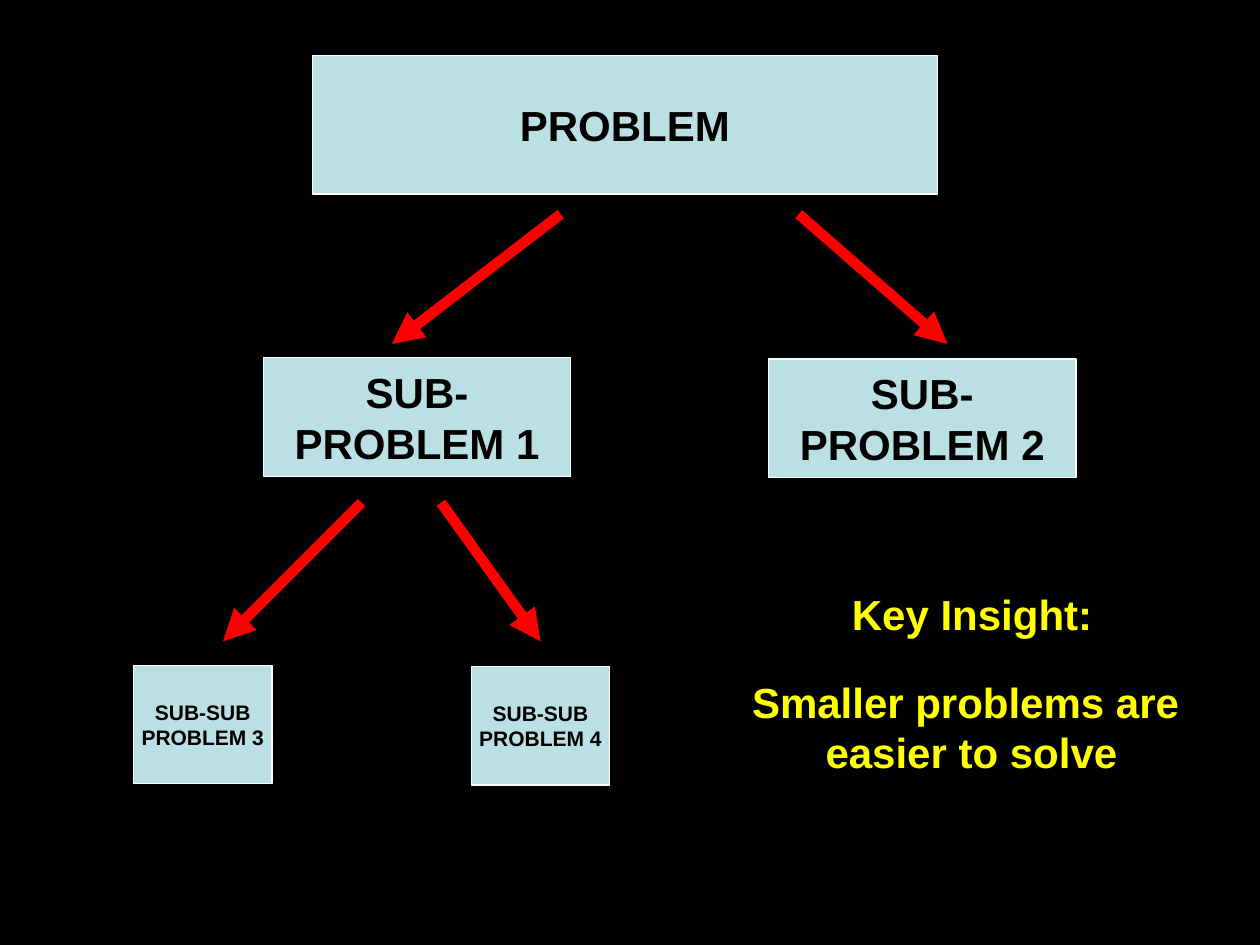
from dataclasses import dataclass

from lxml.etree import SubElement
from pptx import Presentation
from pptx.dml.color import RGBColor
from pptx.enum.shapes import MSO_CONNECTOR, MSO_SHAPE
from pptx.enum.text import MSO_ANCHOR, MSO_AUTO_SIZE, PP_ALIGN
from pptx.oxml.ns import qn
from pptx.slide import Slide
from pptx.text.text import TextFrame
from pptx.util import Inches, Pt

BLACK, WHITE, RED, YELLOW, PALE_BLUE = "000000", "FFFFFF", "FF0000", "FFFF00", "BBE0E3"


@dataclass
class Label:
    text: str
    left: float
    top: float
    width: float
    height: float
    size: int = 24


@dataclass
class Arrow:
    start_x: float
    start_y: float
    end_x: float
    end_y: float


PROBLEMS = [
    Label("PROBLEM", 2.48, 0.44, 4.96, 1.1),
    Label("SUB-\nPROBLEM 1", 2.09, 2.84, 2.44, 0.94),
    Label("SUB-\nPROBLEM 2", 6.1, 2.85, 2.44, 0.94),
    Label("SUB-SUB\nPROBLEM 3", 1.06, 5.28, 1.1, 0.94, 12),
    Label("SUB-SUB\nPROBLEM 4", 3.74, 5.29, 1.1, 0.94, 12),
]
ARROWS = [
    Arrow(4.45, 1.7, 3.11, 2.73),
    Arrow(6.34, 1.7, 7.52, 2.73),
    Arrow(2.87, 3.99, 1.77, 5.09),
    Arrow(3.5, 3.99, 4.29, 5.09),
]
INSIGHTS = [
    Label("Key Insight:", 6.66, 4.62, 2.11, 0.5),
    Label("Smaller problems are \neasier to solve", 5.87, 5.32, 3.68, 0.9),
]


def color(value: str) -> RGBColor:
    return RGBColor.from_string(value)


def box(label: Label) -> tuple:
    return tuple(Inches(n) for n in (label.left, label.top, label.width, label.height))


def write(text_frame: TextFrame, label: Label, font_color: str) -> None:
    text_frame.text = label.text
    text_frame.word_wrap = False
    for paragraph in text_frame.paragraphs:
        paragraph.alignment = PP_ALIGN.CENTER
        for run in paragraph.runs:
            run.font.name = "Arial"
            run.font.size = Pt(label.size)
            run.font.bold = True
            run.font.color.rgb = color(font_color)


def add_problem(slide: Slide, label: Label) -> None:
    shape = slide.shapes.add_shape(MSO_SHAPE.RECTANGLE, *box(label))
    shape.shadow.inherit = False
    shape.fill.solid()
    shape.fill.fore_color.rgb = color(PALE_BLUE)
    shape.line.color.rgb = color(WHITE)
    shape.line.width = Pt(0.74)
    shape.text_frame.vertical_anchor = MSO_ANCHOR.MIDDLE
    write(shape.text_frame, label, BLACK)


def add_arrow(slide: Slide, arrow: Arrow) -> None:
    connector = slide.shapes.add_connector(
        MSO_CONNECTOR.STRAIGHT,
        Inches(arrow.start_x), Inches(arrow.start_y),
        Inches(arrow.end_x), Inches(arrow.end_y),
    )
    connector.line.color.rgb = color(RED)
    connector.line.width = Pt(6)
    properties = connector._element.spPr
    SubElement(properties.find(qn("a:ln")), qn("a:tailEnd"), type="triangle")
    SubElement(properties, qn("a:effectLst"))


def add_insight(slide: Slide, label: Label) -> None:
    text_box = slide.shapes.add_textbox(*box(label))
    write(text_box.text_frame, label, YELLOW)
    text_box.text_frame.auto_size = MSO_AUTO_SIZE.SHAPE_TO_FIT_TEXT


presentation = Presentation()
presentation.slide_width, presentation.slide_height = Inches(10), Inches(7.5)
slide = presentation.slides.add_slide(presentation.slide_layouts[6])
slide.background.fill.solid()
slide.background.fill.fore_color.rgb = color(BLACK)

for problem in PROBLEMS:
    add_problem(slide, problem)
for arrow in ARROWS:
    add_arrow(slide, arrow)
for insight in INSIGHTS:
    add_insight(slide, insight)

presentation.save("out.pptx")
